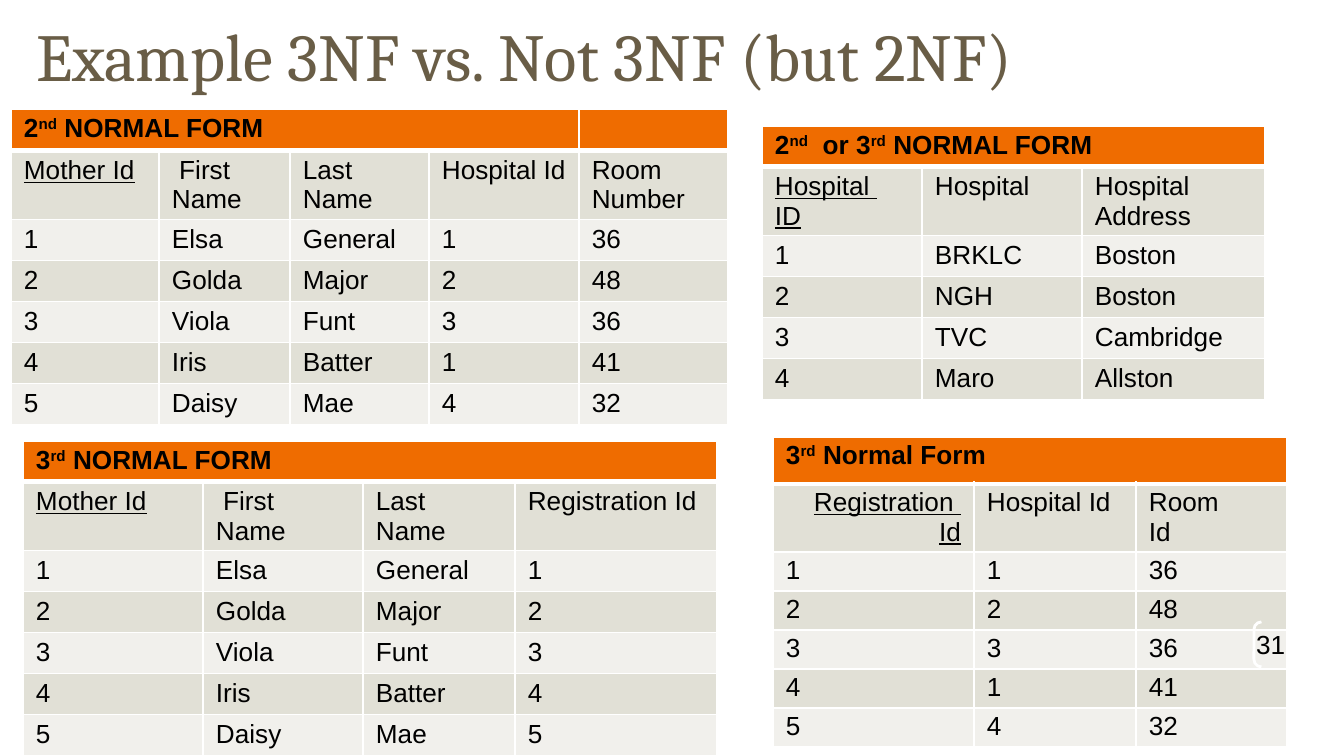
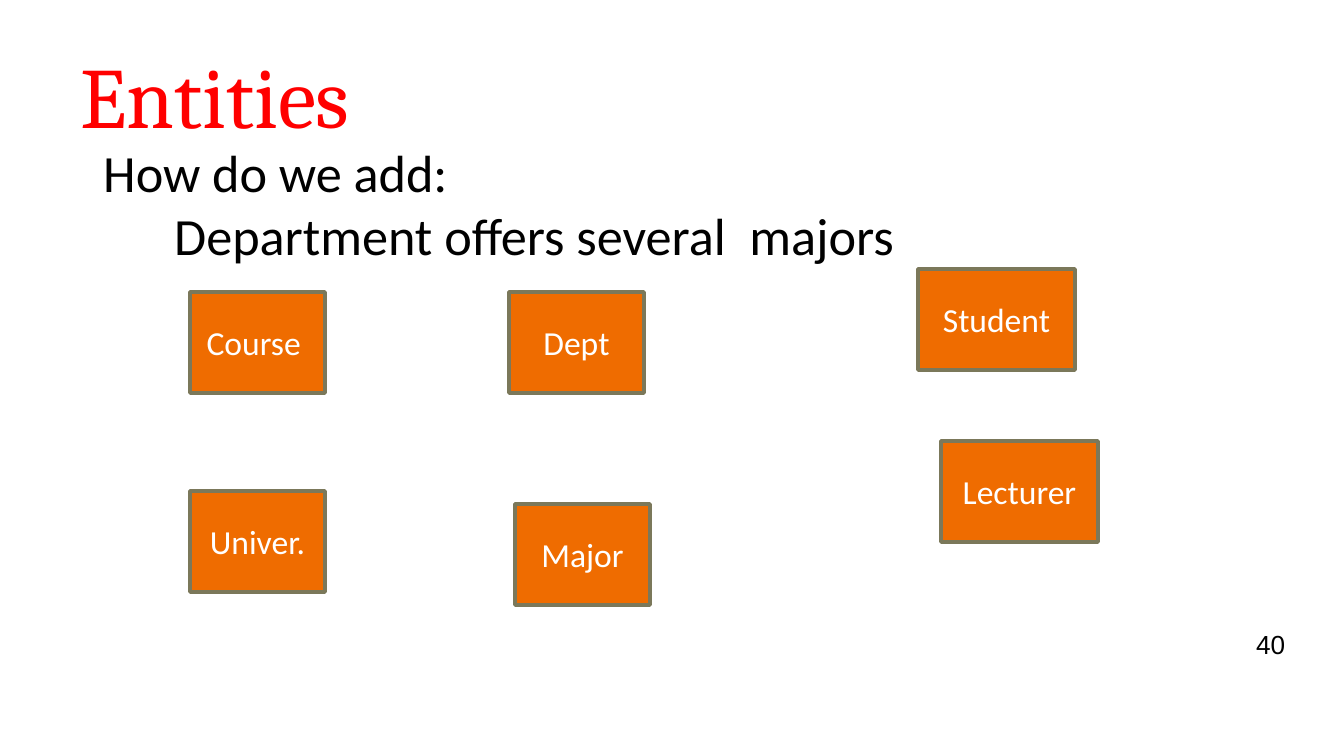
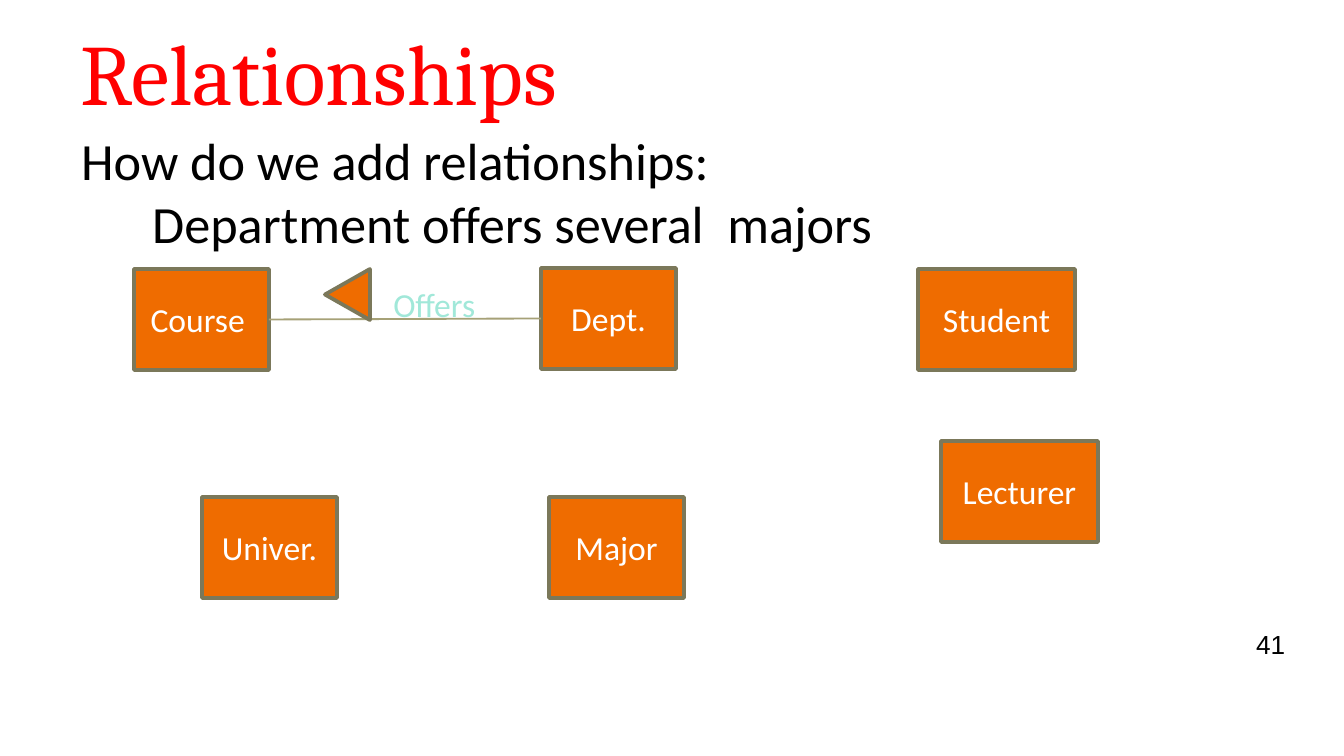
import pptx
import pptx.dml.color
import pptx.enum.shapes
import pptx.enum.text
import pptx.oxml
import pptx.oxml.ns
import pptx.util

RGB = pptx.dml.color.RGBColor
SHAPE = pptx.enum.shapes.MSO_SHAPE
ALIGN = pptx.enum.text.PP_ALIGN
ANCHOR = pptx.enum.text.MSO_ANCHOR

PX_PER_INCH = 134.4
SLIDE_SIZE = (1344, 756)

ORANGE = RGB(0xEF, 0x6C, 0x00)
OLIVE = RGB(0x7B, 0x78, 0x5A)
KHAKI = RGB(0xA6, 0xA1, 0x77)
BROWN = RGB(0x69, 0x5D, 0x46)
RED = RGB(0xFF, 0x00, 0x00)
MINT = RGB(0xA1, 0xE8, 0xD9)
BLACK = RGB(0x00, 0x00, 0x00)
WHITE = RGB(0xFF, 0xFF, 0xFF)
BANDS = (RGB(0xE1, 0xE0, 0xD6), RGB(0xF1, 0xF0, 0xEC))

TABLE_FONT = {"name": "Arial", "size": pptx.util.Pt(14), "color": BLACK}
BODY_FONT = {"name": "Calibri", "size": pptx.util.Pt(28), "color": BLACK}
ENTITY_FONT = {"name": "Calibri", "size": pptx.util.Pt(18), "color": WHITE}
LABEL_FONT = {**ENTITY_FONT, "color": MINT}
SMALL_TITLE = {"name": "Cambria", "size": pptx.util.Pt(36), "color": BROWN}
LARGE_TITLE = {"name": "Cambria", "size": pptx.util.Pt(46), "color": RED}

# Carets enclose superscripts; the first column of each table is its key.
MOTHERS = [("Elsa", "General"), ("Golda", "Major"), ("Viola", "Funt"),
           ("Iris", "Batter"), ("Daisy", "Mae")]
STAYS = [("1", "36"), ("2", "48"), ("3", "36"), ("1", "41"), ("4", "32")]
HOSPITALS = [("BRKLC", "Boston"), ("NGH", "Boston"),
             ("TVC", "Cambridge"), ("Maro", "Allston")]
IDS = ["1", "2", "3", "4", "5"]

TABLES = [
    {"heading": "2^nd^ NORMAL FORM", "span": 4, "at": (11, 109),
     "columns": (148, 131, 139, 150, 149), "rows": (41, 68, 41), "pad": 5,
     "names": ["Mother Id", " First Name", "Last\nName", "Hospital Id", "Room Number"],
     "records": [(key, *mother, *stay)
                 for key, mother, stay in zip(IDS, MOTHERS, STAYS)]},
    {"heading": "2^nd^  or 3^rd^ NORMAL FORM", "span": 3, "at": (762, 126),
     "columns": (160, 160, 183), "rows": (41, 68, 41), "pad": 5,
     "names": ["Hospital  ID", "Hospital", "Hospital Address"],
     "records": [(key, *hospital) for key, hospital in zip(IDS, HOSPITALS)]},
    {"heading": "3^rd^ NORMAL FORM", "span": 4, "at": (23, 441),
     "columns": (180, 160, 152, 202), "rows": (41, 68, 41), "pad": 5,
     "names": ["Mother Id", " First Name", "Last\nName", "Registration Id"],
     "records": [(key, *mother, key) for key, mother in zip(IDS, MOTHERS)]},
    {"heading": "3^rd^ Normal Form", "span": 3, "at": (773, 437),
     "columns": (201, 162, 151), "rows": (47, 68, 39), "pad": 4,
     "key_align": ALIGN.RIGHT,
     "names": ["Registration  Id", "Hospital Id", "Room\nId"],
     "records": [(key, *stay) for key, stay in zip(IDS, STAYS)]},
]

NARROW, WIDE, ENTITY_HEIGHT = 135, 157, 101
PEOPLE = [("Student", 918, 269, WIDE), ("Lecturer", 941, 441, WIDE)]
ENTITIES = [("Course ", 190, 292, NARROW), ("Dept", 509, 292, NARROW),
            ("Major", 515, 504, NARROW), ("Univer.", 190, 491, NARROW), *PEOPLE]
RELATED = [("Course ", 134, 269, NARROW), ("Dept.", 541, 268, NARROW),
           ("Major", 549, 497, NARROW), ("Univer.", 202, 497, NARROW), *PEOPLE]
STATEMENT = "Department offers several  majors"
STATEMENT_INDENT = 71


def px(length):
    return pptx.util.Emu(round(length * 914400 / PX_PER_INCH))


def frame(*lengths):
    return [px(length) for length in lengths]


def set_values(target, values):
    for name, value in values.items():
        setattr(target, name, value)


def write(text_frame, text, font, align=ALIGN.LEFT, **extra):
    """Fill a frame; newlines part paragraphs and carets enclose superscripts."""
    for index, line in enumerate(text.split("\n")):
        para = text_frame.paragraphs[0] if index == 0 else text_frame.add_paragraph()
        para.alignment = align
        for part, words in enumerate(line.split("^")):
            if not words:
                continue
            span = para.add_run()
            span.text = words
            set_values(span.font, {"name": font["name"], "size": font["size"], **extra})
            span.font.color.rgb = font["color"]
            if part % 2:
                span.font._element.set("baseline", "30000")
        if not line:
            para._p.get_or_add_endParaRPr().set("sz", str(int(font["size"].pt * 100)))


def add_slide(deck, title, font, at):
    page = deck.slides.add_slide(deck.slide_layouts[5])
    box = page.shapes.title
    set_values(box, dict(zip(("left", "top", "width", "height"), frame(*at))))
    set_values(box.text_frame, {"word_wrap": True, "vertical_anchor": ANCHOR.MIDDLE,
                                "auto_size": pptx.enum.text.MSO_AUTO_SIZE.NONE})
    write(box.text_frame, title, font)
    return page


def add_preset(page, kind, at, line, width, fill=None):
    shape = page.shapes.add_shape(kind, *frame(*at))
    shape.shadow.inherit = False
    shape.line.color.rgb = line
    shape.line.width = pptx.util.Pt(width)
    if fill is None:
        shape.fill.background()
    else:
        shape.fill.solid()
        shape.fill.fore_color.rgb = fill
    shape.text_frame.vertical_anchor = ANCHOR.MIDDLE
    return shape


def add_page_number(page, number):
    badge = add_preset(page, SHAPE.DOUBLE_BRACKET, (1254, 622, 80, 45), WHITE, 1.5)
    sides = ("left", "top", "right", "bottom")
    set_values(badge.text_frame, {f"margin_{side}": 0 for side in sides})
    write(badge.text_frame, number, TABLE_FONT)


def add_text(page, text, font, at):
    box = page.shapes.add_textbox(*frame(*at))
    box.text_frame.word_wrap = True
    write(box.text_frame, text, font)
    return box


def add_question(page, question, at):
    box = add_text(page, f"{question}\n{STATEMENT}", BODY_FONT, at)
    statement = box.text_frame.paragraphs[1]
    statement._p.get_or_add_pPr().set("marL", str(px(STATEMENT_INDENT)))


def add_entities(page, entities):
    boxes = {}
    for name, left, top, width in entities:
        box = add_preset(page, SHAPE.RECTANGLE, (left, top, width, ENTITY_HEIGHT),
                         OLIVE, 2, ORANGE)
        write(box.text_frame, name, ENTITY_FONT, ALIGN.CENTER)
        boxes[name] = box
    return boxes


def set_borders(cell, top, bottom):
    widths = {"lnL": 1, "lnR": 1, "lnT": top, "lnB": bottom}
    properties = cell._tc.get_or_add_tcPr()
    for index, (side, width) in enumerate(widths.items()):
        border = pptx.oxml.parse_xml(
            f'<a:{side} {pptx.oxml.ns.nsdecls("a")} w="{pptx.util.Pt(width)}">'
            f'<a:solidFill><a:srgbClr val="{WHITE}"/></a:solidFill></a:{side}>')
        properties.insert(index, border)


def add_normal_form(page, form):
    columns = form["columns"]
    first, second, rest = form["rows"]
    heading = [form["heading"]] + [""] * (len(columns) - 1)
    rows = [heading, form["names"], *form["records"]]
    heights = [first, second] + [rest] * len(form["records"])
    size = (sum(columns), sum(heights))
    table = page.shapes.add_table(len(rows), len(columns),
                                  *frame(*form["at"], *size)).table
    for column, width in zip(table.columns, columns):
        column.width = px(width)
    for r, (values, height) in enumerate(zip(rows, heights)):
        table.rows[r].height = px(height)
        for c, value in enumerate(values):
            cell = table.cell(r, c)
            set_values(cell, {"margin_left": px(13), "margin_right": px(13),
                              "margin_top": px(form["pad"]),
                              "margin_bottom": px(form["pad"])})
            cell.fill.solid()
            cell.fill.fore_color.rgb = BANDS[(r - 1) % 2] if r else ORANGE
            set_borders(cell, 3 if r == 1 else 1, 3 if r == 0 else 1)
            is_key = r == 1 and c == 0
            align = form.get("key_align", ALIGN.LEFT) if is_key else ALIGN.LEFT
            write(cell.text_frame, value, TABLE_FONT, align,
                  bold=r == 0, underline=is_key)
    table.cell(0, 0).merge(table.cell(0, form["span"] - 1))


def add_offers(page, course, dept):
    line = page.shapes.add_connector(pptx.enum.shapes.MSO_CONNECTOR.STRAIGHT, 0, 0, 0, 0)
    line.begin_connect(dept, 1)
    line.end_connect(course, 3)
    line.line.color.rgb = KHAKI
    line.line.width = pptx.util.Pt(1)
    line._element.spPr.append(
        pptx.oxml.parse_xml(f'<a:effectLst {pptx.oxml.ns.nsdecls("a")}/>'))
    pointer = add_preset(page, SHAPE.ISOSCELES_TRIANGLE, (322, 272, 51, 45),
                         OLIVE, 2, ORANGE)
    pointer.rotation = 270
    add_text(page, "Offers", LABEL_FONT, (380, 277, 110, 40))


def main():
    deck = pptx.Presentation()
    deck.slide_width, deck.slide_height = frame(*SLIDE_SIZE)

    page = add_slide(deck, "Example 3NF vs. Not 3NF (but 2NF)", SMALL_TITLE,
                     (23, -8, 1210, 126))
    for form in TABLES:
        add_normal_form(page, form)
    add_page_number(page, "31")

    page = add_slide(deck, "Entities", LARGE_TITLE, (67, 31, 1120, 126))
    add_entities(page, ENTITIES)
    add_question(page, "How do we add:", (90, 134, 840, 105))
    add_page_number(page, "40")

    page = add_slide(deck, "Relationships", LARGE_TITLE, (67, 8, 1120, 126))
    boxes = add_entities(page, RELATED)
    add_question(page, "How do we add relationships:", (68, 122, 840, 105))
    add_page_number(page, "41")
    add_offers(page, boxes["Course "], boxes["Dept."])

    deck.save("out.pptx")


if __name__ == "__main__":
    main()
